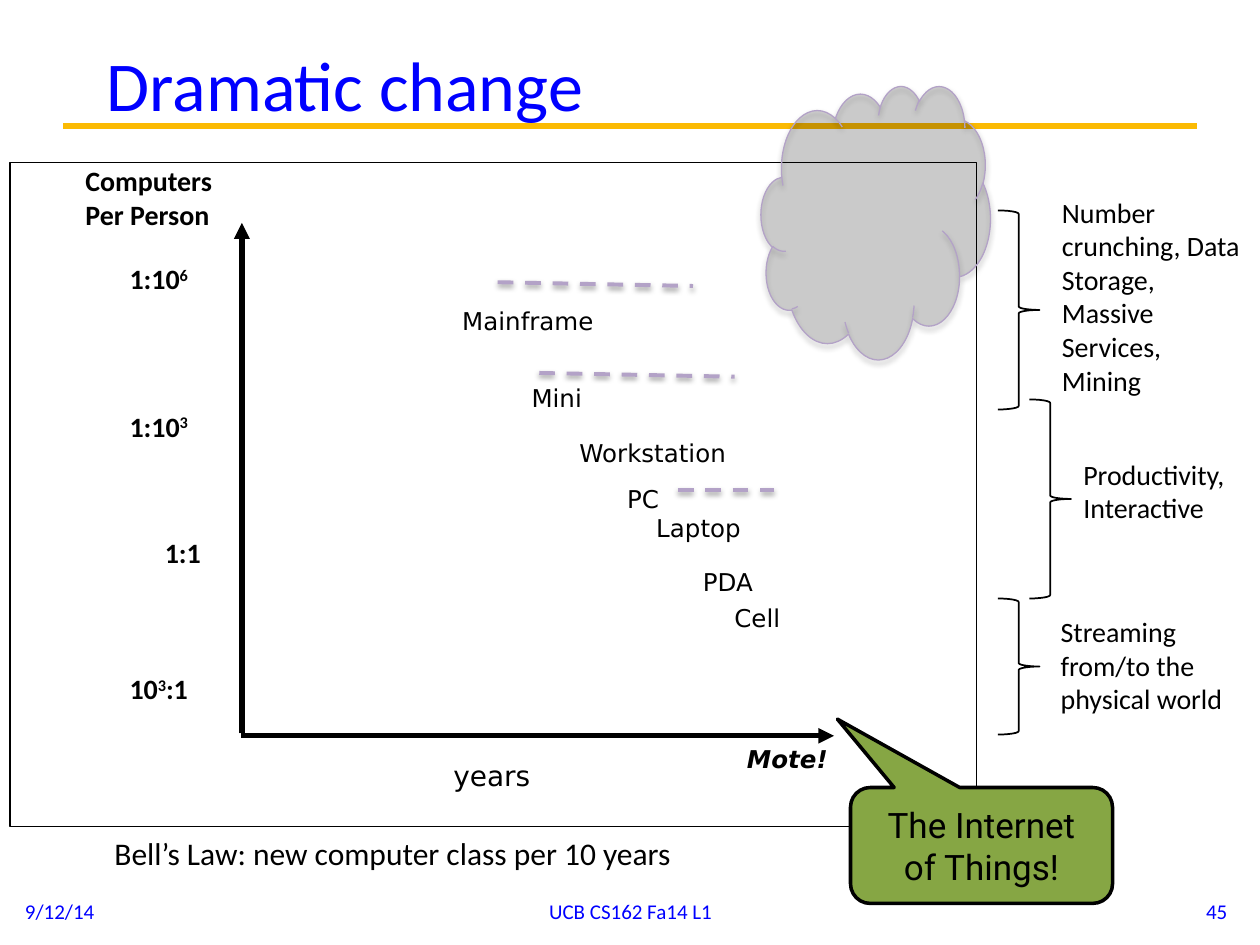
from lxml import etree
from pptx import Presentation
from pptx.dml.color import RGBColor
from pptx.enum.dml import MSO_LINE
from pptx.enum.shapes import MSO_CONNECTOR, MSO_SHAPE
from pptx.enum.text import MSO_ANCHOR, PP_ALIGN
from pptx.oxml import parse_xml
from pptx.oxml.ns import qn
from pptx.util import Inches, Pt

NS = 'xmlns:a="http://schemas.openxmlformats.org/drawingml/2006/main"'
BLACK, BLUE, LILAC = "000000", "0000FF", "B3A2C7"
rgb = RGBColor.from_string

prs = Presentation()
prs.slide_width, prs.slide_height = Inches(10), Inches(7.5)
s = prs.slides.add_slide(prs.slide_layouts[6])


def add_text(x, y, w, h, text, size, font="Calibri", color=BLACK, bold=False,
             italic=False, align=PP_ALIGN.LEFT, anchor=MSO_ANCHOR.TOP, wrap=True):
    """Newlines part paragraphs; text between carets is superscript."""
    tf = s.shapes.add_textbox(Inches(x), Inches(y), Inches(w), Inches(h)).text_frame
    tf.word_wrap, tf.vertical_anchor = wrap, anchor
    for i, line in enumerate(text.split("\n")):
        p = tf.paragraphs[0] if i == 0 else tf.add_paragraph()
        p.alignment = align
        p.font.name, p.font.size, p.font.color.rgb = font, Pt(size), rgb(color)
        p.font.bold, p.font.italic = bold, italic
        for j, part in enumerate(line.split("^")):
            if part:
                r = p.add_run()
                r.text = part
                if j % 2:
                    r._r.get_or_add_rPr().set("baseline", "30000")


def add_line(x1, y1, x2, y2, color, width, shadow=""):
    c = s.shapes.add_connector(MSO_CONNECTOR.STRAIGHT, Inches(x1), Inches(y1),
                               Inches(x2), Inches(y2))
    c.line.color.rgb, c.line.width = rgb(color), Pt(width)
    c._element.spPr.append(parse_xml(f"<a:effectLst {NS}>{shadow}</a:effectLst>"))
    return c


SHADOW = ('<a:outerShdw blurRad="39400" dist="{}" dir="5400000" rotWithShape="0">'
          '<a:srgbClr val="000000"><a:alpha val="{}"/></a:srgbClr></a:outerShdw>')

# Title and rule
add_line(0.5, 1, 9.5, 1, "FBBA03", 3.75)
add_text(0.75, 0.17, 8.65, 0.99, "Dramatic change", 40, color=BLUE, anchor=MSO_ANCHOR.MIDDLE)

# Chart frame
sp = s.shapes.add_shape(MSO_SHAPE.RECTANGLE, Inches(0.08), Inches(1.29),
                        Inches(7.67), Inches(5.27))
sp.shadow.inherit = False
sp.fill.background()
sp.line.color.rgb, sp.line.width = rgb(BLACK), Pt(0.75)

# Axes with arrowheads
for ends in [(1.91, 5.84, 6.62, 5.84), (1.92, 5.82, 1.92, 1.77)]:
    c = add_line(*ends, BLACK, 3)
    etree.SubElement(c.line._get_or_add_ln(), qn("a:tailEnd"), type="triangle")

# Axis titles and scale
add_text(3.5, 5.97, 1.11, 0.37, "years", 16, "DejaVu Sans")
add_text(0.58, 1.25, 1.88, 0.64, "Computers\nPer Person", 16, bold=True)
for x, y, label in [(0.93, 2.03, "1:10^6"), (0.93, 3.2, "1:10^3"),
                    (1.21, 4.2, "1:1"), (0.93, 5.28, "10^3^:1")]:
    add_text(x, y, 1, 0.37, label, 16, bold=True)

# Computer classes
for x, y, w, label in [
    (3.57, 2.38, 2.05, "Mainframe"), (4.12, 2.99, 1.11, "Mini"),
    (4.5, 3.43, 1.97, "Workstation"), (4.88, 3.79, 0.73, "PC"),
    (5.11, 4.02, 1.61, "Laptop"), (5.48, 4.45, 0.94, "PDA"), (5.73, 4.74, 0.77, "Cell"),
]:
    add_text(x, y, w, 0.34, label, 14, "DejaVu Sans")
add_text(5.83, 5.86, 0.85, 0.33, "Mote!", 14, "DejaVu Sans", bold=True, italic=True)

# Dashed trends
for ends in [(3.95, 2.24, 5.5, 2.27), (4.28, 2.96, 5.83, 2.99), (5.38, 3.89, 6.14, 3.89)]:
    c = add_line(*ends, LILAC, 2.25, SHADOW.format(20000, 38000))
    c.line.dash_style = MSO_LINE.DASH

# Translucent cloud
sp = s.shapes.add_shape(MSO_SHAPE.CLOUD, Inches(6.04), Inches(0.68), Inches(1.82), Inches(2.17))
sp.fill.solid()
sp.fill.fore_color.rgb = rgb(BLACK)
etree.SubElement(sp._element.spPr.find(".//" + qn("a:srgbClr")), qn("a:alpha"), val="16000")
sp.line.color.rgb, sp.line.width = rgb(LILAC), Pt(0.75)
sp._element.spPr.append(
    parse_xml(f"<a:effectLst {NS}>{SHADOW.format(23000, 35000)}</a:effectLst>"))

add_text(0.81, 6.57, 7.32, 0.5, "Bell’s Law: new computer class per 10 years", 18, wrap=False)

# Callout
sp = s.shapes.add_shape(MSO_SHAPE.ROUNDED_RECTANGULAR_CALLOUT, Inches(6.75), Inches(6.25),
                        Inches(2.08), Inches(0.92))
for i, value in enumerate([-0.55, -1.09, 0.17]):
    sp.adjustments[i] = value
sp.shadow.inherit = False
sp.fill.solid()
sp.fill.fore_color.rgb = rgb("86A644")
sp.line.color.rgb, sp.line.width = rgb(BLACK), Pt(2)
tf = sp.text_frame
tf.word_wrap, tf.vertical_anchor = True, MSO_ANCHOR.MIDDLE
p = tf.paragraphs[0]
p.text, p.alignment = "The Internet of Things!", PP_ALIGN.CENTER
p.font.name, p.font.size, p.font.color.rgb = "Roboto", Pt(20), rgb(BLACK)

# Braces
for x, y, h in [(7.92, 1.67, 1.58), (8.17, 3.17, 1.58), (7.92, 4.75, 1.08)]:
    sp = s.shapes.add_shape(MSO_SHAPE.RIGHT_BRACE, Inches(x), Inches(y), Inches(0.33), Inches(h))
    sp.shadow.inherit = False
    sp.fill.solid()
    sp.fill.fore_color.rgb = rgb("FFFFFF")
    sp.line.color.rgb, sp.line.width = rgb(BLACK), Pt(1)

# Uses of each class
for x, y, h, label in [
    (8.33, 1.5, 1.72, "Number crunching, Data Storage, Massive Services,\nMining"),
    (8.5, 3.58, 0.64, "Productivity,\nInteractive"),
    (8.32, 4.83, 0.91, "Streaming from/to the physical world"),
]:
    add_text(x, y, 1.67, h, label, 16)

# Footer
for x, w, label, align in [(0.1, 2.33, "9/12/14", PP_ALIGN.LEFT),
                           (3.42, 3.17, "UCB CS162 Fa14 L1", PP_ALIGN.CENTER),
                           (7.51, 2.33, "45", PP_ALIGN.RIGHT)]:
    add_text(x, 7.03, w, 0.4, label, 12, color=BLUE, align=align, anchor=MSO_ANCHOR.MIDDLE)

prs.save("out.pptx")
